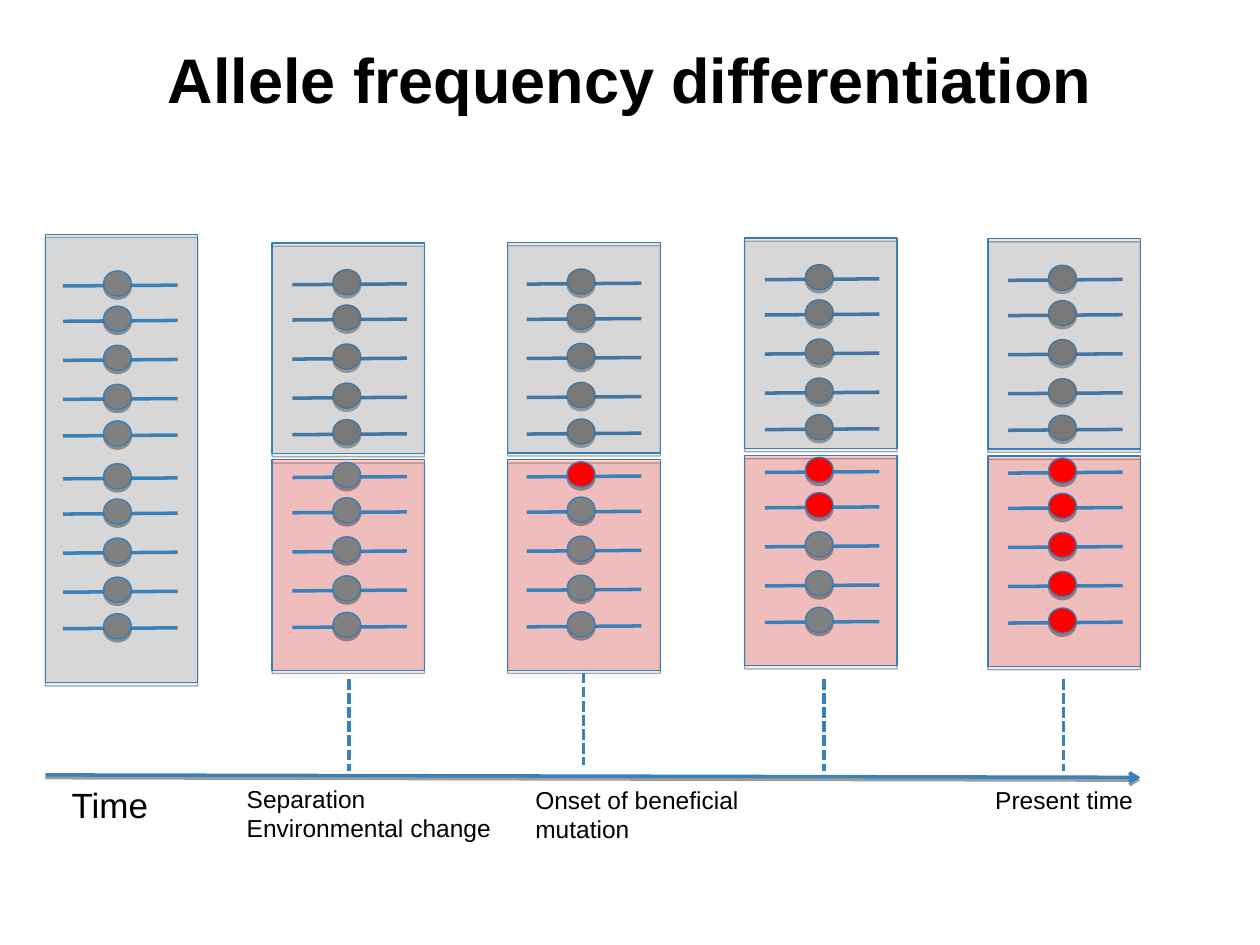
from dataclasses import dataclass
from typing import Optional

from lxml.etree import SubElement
from pptx import Presentation
from pptx.dml.color import RGBColor
from pptx.enum.dml import MSO_LINE
from pptx.enum.shapes import MSO_CONNECTOR, MSO_SHAPE
from pptx.enum.text import MSO_ANCHOR as ANCHOR, MSO_AUTO_SIZE as AUTO, PP_ALIGN as ALIGN
from pptx.oxml.ns import qn
from pptx.util import Inches, Pt


@dataclass(frozen=True)
class Theme:
    font: str = "Arial"
    ink: str = "000000"
    neutral: str = "808080"
    beneficial: str = "FF0000"
    outline: str = "357EB8"
    strand: str = "3A81BA"
    title_size: float = 36
    time_size: float = 20
    label_size: float = 14
    outline_width: float = 0.75
    strand_width: float = 2
    panel_opacity: int = 20


@dataclass(frozen=True)
class Shadow:
    opacity: int
    distance: float


@dataclass(frozen=True)
class Stage:
    left: float
    strand_left: float
    first_strand: float
    panel_top: float
    split_top: Optional[float] = None
    mutants: int = 0


@dataclass(frozen=True)
class Label:
    lines: tuple
    left: float
    top: float
    width: float
    height: float
    size: float


THEME = Theme()
SHAPE_SHADOW = Shadow(35, 1.8)
ARROW_SHADOW = Shadow(38, 1.6)

COLUMNS, ROWS = 100, 75
SLIDE_WIDTH, SLIDE_HEIGHT = Inches(10), Inches(7.5)

PANEL_WIDTH, HALF_HEIGHT, WHOLE_HEIGHT = 12.1, 16.7, 35.6
STRAND_LENGTH, STRAND_RISE = 9.1, 0.07
ALLELE_WIDTH, ALLELE_HEIGHT = 2.2, 2.0
ALLELE_INSET, ALLELE_LIFT = 3.22, 1.2
HALF_STEPS = (0, 2.8, 5.9, 9.0, 11.9)
STRAND_STEPS = HALF_STEPS + tuple(15.3 + step for step in HALF_STEPS)

STAGES = (
    Stage(3.6, 5.0, 22.7, 18.6),
    Stage(21.6, 23.2, 22.6, 19.3, 36.5),
    Stage(40.3, 41.8, 22.55, 19.25, 36.5, 1),
    Stage(59.1, 60.7, 22.2, 18.9, 36.15, 2),
    Stage(78.4, 80.0, 22.25, 18.95, 36.2, 5),
)
MARKERS = ((27.7, 53.9), (46.3, 53.4), (65.4, 53.9), (84.4, 53.9))
MARKER_LENGTH = 7.3
LABELS = (
    Label(("Time",), 4.7, 61.7, 8.3, 4.3, THEME.time_size),
    Label(("Separation", "Environmental change"), 18.6, 61.7, 21.7, 5.7, THEME.label_size),
    Label(("Onset of beneficial", "mutation"), 41.5, 61.8, 18.7, 5.7, THEME.label_size),
    Label(("Present time",), 78.0, 61.8, 13.2, 3.3, THEME.label_size),
)
LABEL_FORMAT = dict(word_wrap=False, auto_size=AUTO.SHAPE_TO_FIT_TEXT,
                    margin_left=Inches(0.1), margin_right=Inches(0.1),
                    margin_top=Inches(0.05), margin_bottom=Inches(0.05))
TITLE_FORMAT = dict(word_wrap=True, vertical_anchor=ANCHOR.MIDDLE,
                    margin_left=Inches(0.1), margin_right=Inches(0.1),
                    margin_top=Inches(0.1), margin_bottom=Inches(0.1))


def across(columns: float) -> int:
    return round(SLIDE_WIDTH * columns / COLUMNS)


def down(rows: float) -> int:
    return round(SLIDE_HEIGHT * rows / ROWS)


def apply_format(target, values: dict) -> None:
    for attribute, value in values.items():
        setattr(target, attribute, value)


def cast_shadow(properties, shadow: Optional[Shadow]) -> None:
    effects = properties.find(qn("a:effectLst"))
    if effects is None:
        effects = SubElement(properties, qn("a:effectLst"))
    if shadow:
        outer = SubElement(effects, qn("a:outerShdw"), blurRad="0",
                           dist=str(Pt(shadow.distance)), dir="5400000", rotWithShape="0")
        color = SubElement(outer, qn("a:srgbClr"), val=THEME.ink)
        SubElement(color, qn("a:alpha"), val=str(shadow.opacity * 1000))


def draw_filled(shapes, kind, left: float, top: float, width: float, height: float,
                color: str, opacity: int = 100) -> None:
    shape = shapes.add_shape(kind, across(left), down(top), across(width), down(height))
    shape.fill.solid()
    shape.fill.fore_color.rgb = RGBColor.from_string(color)
    shape.line.color.rgb = RGBColor.from_string(THEME.outline)
    shape.line.width = Pt(THEME.outline_width)
    shape.shadow.inherit = False
    properties = shape._element.spPr
    if opacity < 100:
        tint = properties.find(qn("a:solidFill"))[0]
        SubElement(tint, qn("a:alpha"), val=str(opacity * 1000))
    cast_shadow(properties, SHAPE_SHADOW)


def draw_line(shapes, x1: float, y1: float, x2: float, y2: float, dashed: bool = False,
              arrow: bool = False, shadow: Optional[Shadow] = None) -> None:
    line = shapes.add_connector(MSO_CONNECTOR.STRAIGHT, across(x1), down(y1), across(x2), down(y2))
    line.line.color.rgb = RGBColor.from_string(THEME.strand)
    line.line.width = Pt(THEME.strand_width)
    if dashed:
        line.line.dash_style = MSO_LINE.SQUARE_DOT
    properties = line._element.spPr
    if arrow:
        SubElement(properties.find(qn("a:ln")), qn("a:tailEnd"), type="arrow")
    cast_shadow(properties, shadow)


def draw_panel(shapes, left: float, top: float, height: float, color: str) -> None:
    draw_filled(shapes, MSO_SHAPE.RECTANGLE, left, top, PANEL_WIDTH, height,
                color, THEME.panel_opacity)


def draw_strands(shapes, stage: Stage) -> None:
    first_mutant = len(HALF_STEPS)
    for index, step in enumerate(STRAND_STEPS):
        y = stage.first_strand + step
        mutated = first_mutant <= index < first_mutant + stage.mutants
        draw_line(shapes, stage.strand_left, y, stage.strand_left + STRAND_LENGTH, y - STRAND_RISE)
        draw_filled(shapes, MSO_SHAPE.OVAL, stage.strand_left + ALLELE_INSET, y - ALLELE_LIFT,
                    ALLELE_WIDTH, ALLELE_HEIGHT, THEME.beneficial if mutated else THEME.neutral)


def draw_stage(shapes, stage: Stage) -> None:
    if stage.split_top is None:
        draw_panel(shapes, stage.left, stage.panel_top, WHOLE_HEIGHT, THEME.neutral)
        draw_strands(shapes.add_group_shape().shapes, stage)
    else:
        draw_panel(shapes, stage.left, stage.split_top, HALF_HEIGHT, THEME.beneficial)
        draw_strands(shapes, stage)
        draw_panel(shapes, stage.left, stage.panel_top, HALF_HEIGHT, THEME.neutral)


def draw_text(shapes, label: Label, frame_format: dict, align=ALIGN.LEFT, bold: bool = False) -> None:
    frame = shapes.add_textbox(across(label.left), down(label.top),
                               across(label.width), down(label.height)).text_frame
    apply_format(frame, frame_format)
    frame.text = "\n".join(label.lines)
    for paragraph in frame.paragraphs:
        paragraph.alignment = align
        for run in paragraph.runs:
            apply_format(run.font, dict(name=THEME.font, size=Pt(label.size), bold=bold))
            run.font.color.rgb = RGBColor.from_string(THEME.ink)


def main() -> None:
    deck = Presentation()
    apply_format(deck, dict(slide_width=SLIDE_WIDTH, slide_height=SLIDE_HEIGHT))
    shapes = deck.slides.add_slide(deck.slide_layouts[6]).shapes
    heading = Label(("Allele frequency differentiation",), 5, 0, 90, 12.5, THEME.title_size)
    draw_text(shapes, heading, TITLE_FORMAT, ALIGN.CENTER, True)
    for stage in STAGES:
        draw_stage(shapes, stage)
    draw_line(shapes, 3.6, 61.5, 90.5, 61.7, arrow=True, shadow=ARROW_SHADOW)
    for x, top in MARKERS:
        draw_line(shapes, x, top, x, top + MARKER_LENGTH, dashed=True)
    for label in LABELS:
        draw_text(shapes, label, LABEL_FORMAT)
    deck.save("out.pptx")


if __name__ == "__main__":
    main()
